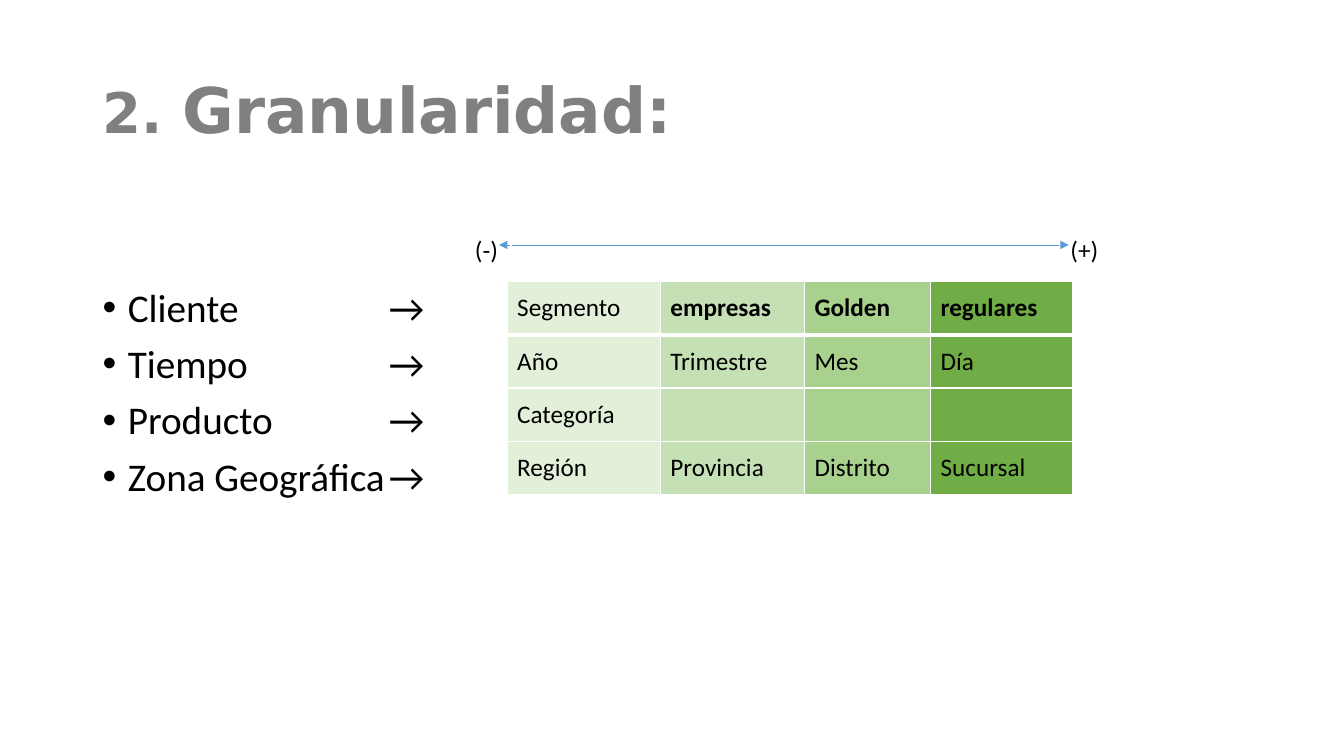
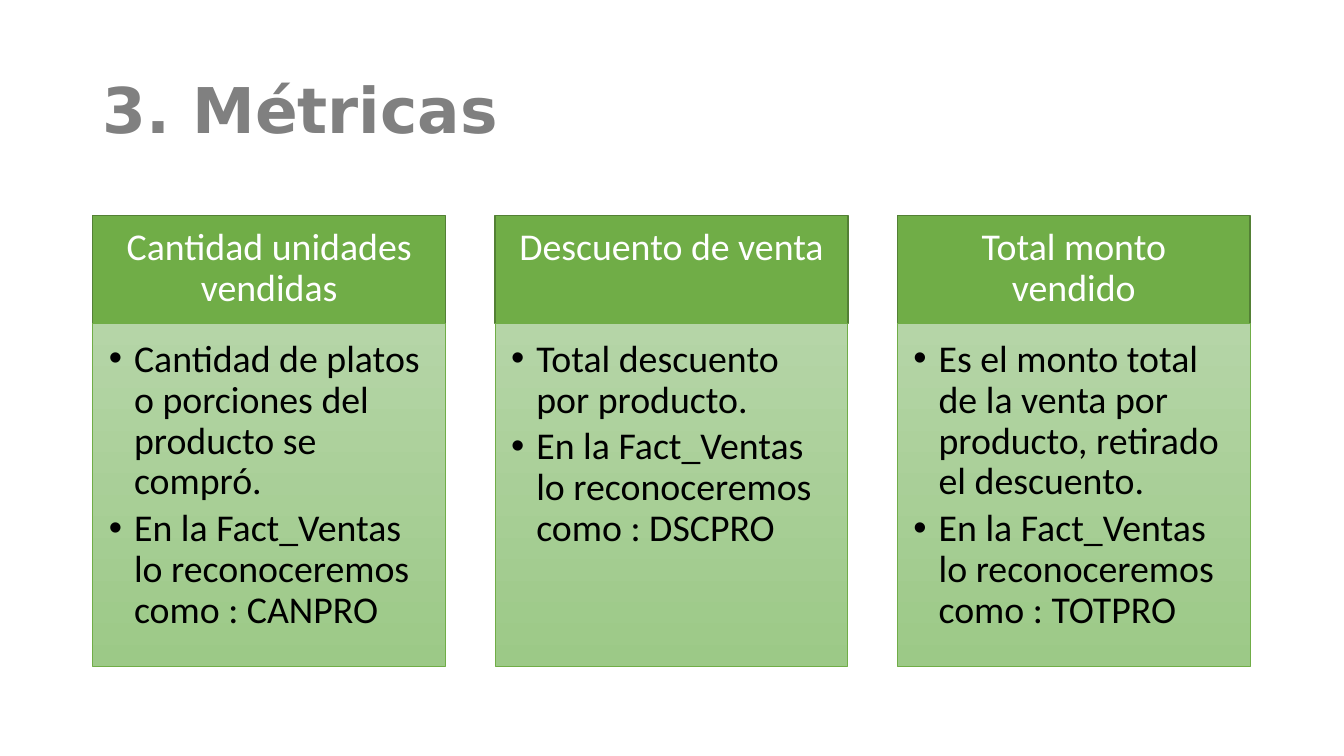
from lxml import etree
from pptx import Presentation
from pptx.dml.color import RGBColor
from pptx.enum import shapes, text
from pptx.oxml import ns
from pptx.util import Inches, Pt

BLACK, WHITE, GRAY, BLUE = "000000", "FFFFFF", "808080", "5B9BD5"
GREEN, DARK_GREEN = "70AD47", "538035"
COLUMN_FILLS = ["E2F0D9", "C5E0B4", "A9D18E", GREEN]
CARD_GRADIENT = ["B5D5A7", "9CC987"]
BODY_FONT, TITLE_FONT = "Calibri", "DejaVu Sans"
MARGIN = 0.92

LEVELS = ["Cliente", "Tiempo", "Producto", "Zona Geográfica"]
GRANULARITY = [
    ["Segmento", "empresas", "Golden", "regulares"],
    ["Año", "Trimestre", "Mes", "Día"],
    ["Categoría", "", "", ""],
    ["Región", "Provincia", "Distrito", "Sucursal"],
]
METRICS = [
    ("Cantidad unidades vendidas",
     "Cantidad de platos o porciones del producto se compró.", "CANPRO"),
    ("Descuento de venta", "Total descuento por producto.", "DSCPRO"),
    ("Total monto vendido",
     "Es el monto total de la venta por producto, retirado el descuento.", "TOTPRO"),
]


def color(value):
    return RGBColor.from_string(value)


def add_child(parent, tag, **attributes):
    return etree.SubElement(parent, ns.qn(tag), attributes)


def add_bullet(paragraph):
    properties = paragraph._p.get_or_add_pPr()
    properties.set("marL", str(Inches(0.25)))
    properties.set("indent", str(-Inches(0.25)))
    add_child(properties, "a:buFont", typeface="Arial")
    add_child(properties, "a:buChar", char="•")


def write(frame, paragraphs, size=18, font=BODY_FONT, fill=BLACK, bold=False,
          align=text.PP_ALIGN.LEFT, anchor=text.MSO_ANCHOR.TOP, spacing=1.0,
          before=0, after=0, bullets=False, insets=(0.1, 0.05, 0.1, 0.05)):
    frame.word_wrap = True
    frame.vertical_anchor = anchor
    frame.margin_left, frame.margin_top, frame.margin_right, frame.margin_bottom = map(
        Inches, insets)
    for index, content in enumerate(paragraphs):
        paragraph = frame.paragraphs[0] if index == 0 else frame.add_paragraph()
        paragraph.alignment = align
        paragraph.line_spacing = spacing
        paragraph.space_before, paragraph.space_after = Pt(before), Pt(after)
        if bullets:
            add_bullet(paragraph)
        runs = [(content, size)] if isinstance(content, str) else content
        for words, run_size in runs:
            run = paragraph.add_run()
            run.text = words
            run.font.size, run.font.name, run.font.bold = Pt(run_size), font, bold
            run.font.color.rgb = color(fill)


def add_text(slide, box, paragraphs, **text_format):
    shape = slide.shapes.add_textbox(*map(Inches, box))
    write(shape.text_frame, paragraphs, **text_format)


def add_title(slide, runs):
    add_text(slide, (MARGIN, 0.4, 11.5, 1.45), [runs], font=TITLE_FONT, fill=GRAY,
             bold=True, anchor=text.MSO_ANCHOR.MIDDLE, spacing=0.9)


def add_box(slide, box, paragraphs, line, line_width=1, background=(), **text_format):
    shape = slide.shapes.add_shape(shapes.MSO_SHAPE.RECTANGLE, *map(Inches, box))
    shape.shadow.inherit = False
    shape.line.color.rgb = color(line)
    shape.line.width = Pt(line_width)
    if len(background) > 1:
        shape.fill.gradient()
        shape.fill.gradient_angle = 270
        for stop, value in zip(shape.fill.gradient_stops, background):
            stop.color.rgb = color(value)
    elif background:
        shape.fill.solid()
        shape.fill.fore_color.rgb = color(background[0])
    else:
        shape.fill.background()
    write(shape.text_frame, paragraphs, **text_format)


def add_double_arrow(slide, left, right, top):
    connector = slide.shapes.add_connector(
        shapes.MSO_CONNECTOR.STRAIGHT, *map(Inches, (left, top, right, top)))
    connector.line.color.rgb = color(BLUE)
    connector.line.width = Pt(0.5)
    line = connector.line._get_or_add_ln()
    for end in ("a:headEnd", "a:tailEnd"):
        add_child(line, end, type="triangle")
    add_child(connector._element.spPr, "a:effectLst")


def set_borders(cell, widths):
    properties = cell._tc.get_or_add_tcPr()
    for index, (side, width) in enumerate(widths.items()):
        line = etree.Element(ns.qn(f"a:ln{side}"), w=str(Pt(width)))
        add_child(add_child(line, "a:solidFill"), "a:srgbClr", val=WHITE)
        properties.insert(index, line)


def add_granularity_table(slide):
    widths, row_height = [1.52, 1.43, 1.25, 1.41], 0.53
    rows = len(GRANULARITY)
    table = slide.shapes.add_table(
        rows, len(widths), Inches(5.03), Inches(2.79),
        Inches(sum(widths)), Inches(row_height * rows)).table
    for column, width in zip(table.columns, widths):
        column.width = Inches(width)
    for row, labels in enumerate(GRANULARITY):
        for column, label in enumerate(labels):
            cell = table.cell(row, column)
            cell.fill.solid()
            cell.fill.fore_color.rgb = color(COLUMN_FILLS[column])
            cell.vertical_anchor = text.MSO_ANCHOR.MIDDLE
            set_borders(cell, {"L": 1, "R": 1, "T": 3 if row == 1 else 1,
                               "B": 3 if row == 0 else 1})
            paragraph = cell.text_frame.paragraphs[0]
            paragraph.font.size = Pt(18)
            if label:
                run = paragraph.add_run()
                run.text = label
                run.font.size, run.font.name = Pt(18), BODY_FONT
                run.font.bold = row == 0 and column > 0
                run.font.color.rgb = color(BLACK)


def add_metric_card(slide, left, heading, description, field):
    width, top, header_height, body_height = 3.5, 2.14, 1.07, 3.4
    add_box(slide, (left, top, width, header_height), [heading], DARK_GREEN,
            background=[GREEN], size=27, fill=WHITE, align=text.PP_ALIGN.CENTER,
            spacing=0.9, insets=(0.21, 0.12, 0.21, 0.12))
    add_box(slide, (left, top + header_height, width, body_height),
            [description, f"En la Fact_Ventas lo reconoceremos como : {field}"],
            GREEN, line_width=0.5, background=CARD_GRADIENT, size=27, spacing=0.9,
            after=4, bullets=True, insets=(0.16, 0.16, 0.21, 0.24))


def build_granularity(slide):
    add_title(slide, [("2. ", 40), ("Granularidad:", 45)])
    list_format = dict(size=28, spacing=0.9, before=10)
    add_text(slide, (MARGIN, 2.81, 3.2, 2.4), LEVELS, bullets=True, **list_format)
    add_text(slide, (3.76, 2.81, 0.7, 2.4), ["→"] * len(LEVELS), **list_format)
    add_granularity_table(slide)
    add_double_arrow(slide, 4.95, 10.6, 2.43)
    for left, sign in ((4.58, "(-)"), (10.51, "(+)")):
        add_box(slide, (left, 2.33, 0.49, 0.29), [sign], WHITE,
                align=text.PP_ALIGN.CENTER, anchor=text.MSO_ANCHOR.MIDDLE,
                insets=(0, 0, 0, 0))


def build_metrics(slide):
    add_title(slide, [("3. Métricas", 45)])
    for index, metric in enumerate(METRICS):
        add_metric_card(slide, MARGIN + index * 3.99, *metric)


def main():
    presentation = Presentation()
    presentation.slide_width, presentation.slide_height = Inches(13.33), Inches(7.5)
    for build in (build_granularity, build_metrics):
        build(presentation.slides.add_slide(presentation.slide_layouts[6]))
    presentation.save("out.pptx")


if __name__ == "__main__":
    main()
